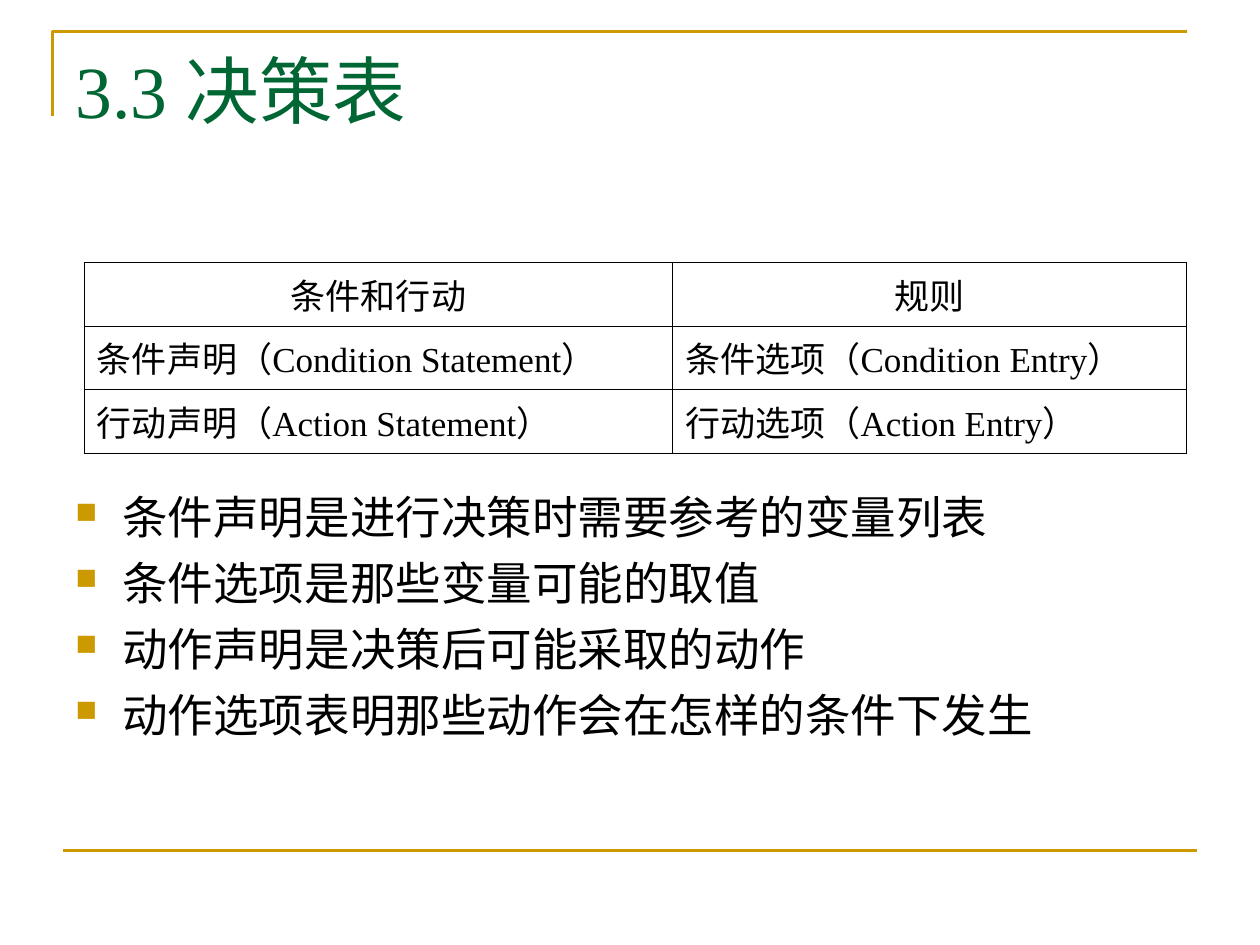
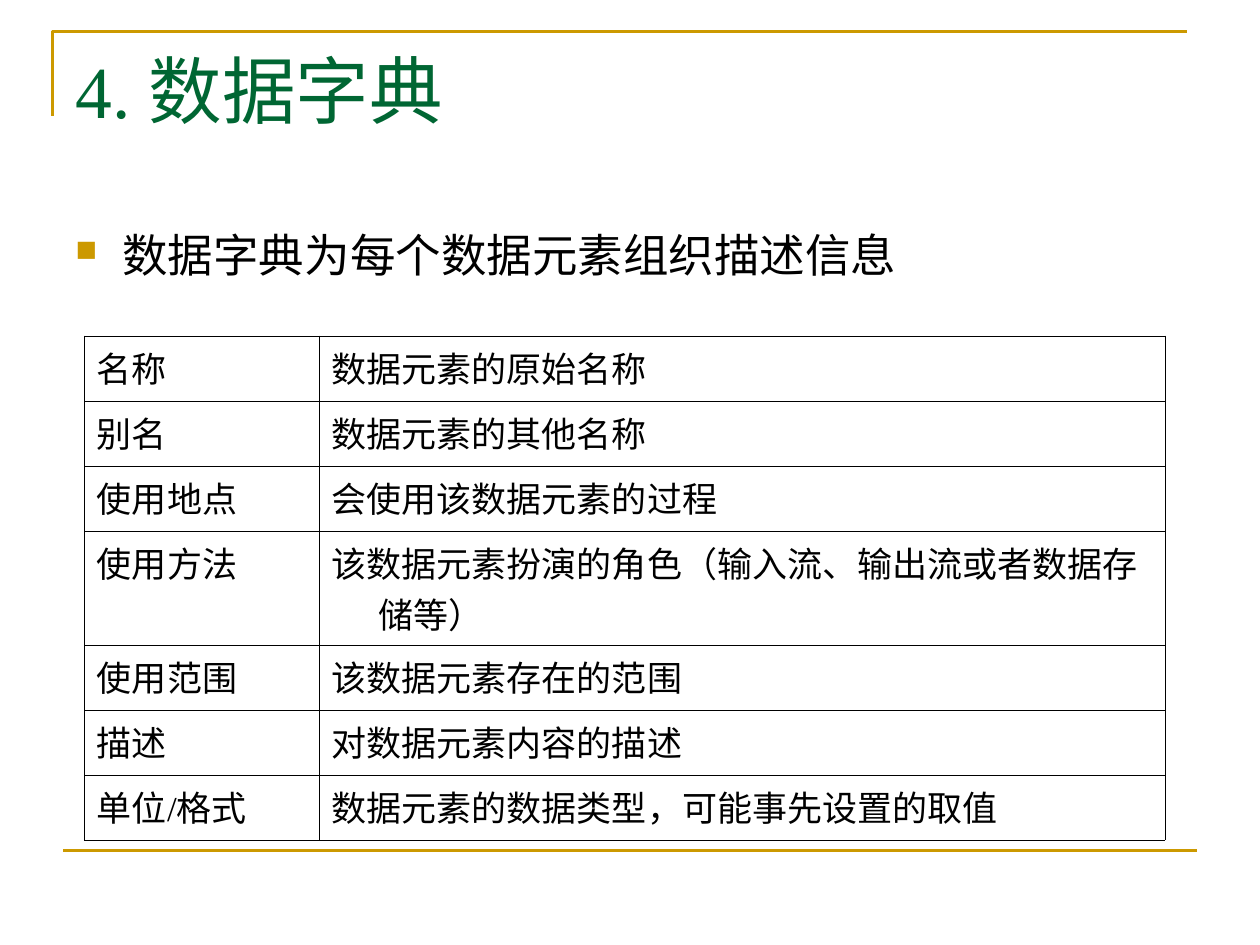
import dataclasses
import typing

import lxml.etree
import pptx
import pptx.dml.color
import pptx.enum.shapes
import pptx.enum.text
import pptx.oxml
import pptx.oxml.ns
import pptx.util

Cm = pptx.util.Cm
Pt = pptx.util.Pt
qn = pptx.oxml.ns.qn
Align = pptx.enum.text.PP_ALIGN
Anchor = pptx.enum.text.MSO_ANCHOR

GOLD, GREEN, BLACK = "CC9900", "006633", "000000"
SERIF, SANS = "Times New Roman", "Arial"
HANG = Cm(0.95)


@dataclasses.dataclass
class Box:
    left: float
    top: float
    width: float
    height: float

    def sides(self) -> list[int]:
        return [Cm(side) for side in dataclasses.astuple(self)]


@dataclasses.dataclass
class Grid:
    left: float
    top: float
    cols: list[float]
    rows: list[float]
    cells: list[tuple[str, str]]
    border: float
    header: bool = False


@dataclasses.dataclass
class Page:
    title: str
    body: Box
    points: list[str]
    grid: Grid


TITLE = Box(1.27, 0.76, 22.86, 3.18)
PAGES = [
    Page(
        "3.3 决策表",
        Box(1.27, 9.73, 22.86, 7.29),
        [
            "条件声明是进行决策时需要参考的变量列表",
            "条件选项是那些变量可能的取值",
            "动作声明是决策后可能采取的动作",
            "动作选项表明那些动作会在怎样的条件下发生",
        ],
        Grid(
            1.7, 5.29, [11.86, 10.36], [1.28] * 3,
            [
                ("条件和行动", "规则"),
                ("条件声明（Condition Statement）", "条件选项（Condition Entry）"),
                ("行动声明（Action Statement）", "行动选项（Action Entry）"),
            ],
            0.45,
            header=True,
        ),
    ),
    Page(
        "4. 数据字典",
        Box(1.27, 4.45, 22.43, 12.57),
        ["数据字典为每个数据元素组织描述信息"],
        Grid(
            1.7, 6.77, [4.73, 17.06], [1.31] * 3 + [2.3] + [1.31] * 3,
            [
                ("名称", "数据元素的原始名称"),
                ("别名", "数据元素的其他名称"),
                ("使用地点", "会使用该数据元素的过程"),
                ("使用方法", "该数据元素扮演的角色（输入流、输出流或者数据存储等）"),
                ("使用范围", "该数据元素存在的范围"),
                ("描述", "对数据元素内容的描述"),
                ("单位/格式", "数据元素的数据类型，可能事先设置的取值"),
            ],
            0.06,
        ),
    ),
]


def color(code: str) -> pptx.dml.color.RGBColor:
    return pptx.dml.color.RGBColor.from_string(code)


def style(para: typing.Any, size: float, face: str, code: str) -> None:
    para.font.size = Pt(size)
    para.font.name = face
    para.font.color.rgb = color(code)


def indent(para: typing.Any) -> typing.Any:
    """Give the paragraph a hanging indent and return its properties."""
    props = para._p.get_or_add_pPr()
    props.set("marL", str(HANG))
    props.set("indent", str(-HANG))
    return props


def bullet(para: typing.Any) -> None:
    props = indent(para)
    tint = lxml.etree.SubElement(props, qn("a:buClr"))
    lxml.etree.SubElement(tint, qn("a:srgbClr"), val=GOLD)
    lxml.etree.SubElement(props, qn("a:buSzPct"), val="65000")
    lxml.etree.SubElement(props, qn("a:buChar"), char="■")


def border(cell: typing.Any, width: float) -> None:
    props = cell._tc.get_or_add_tcPr()
    for spot, side in enumerate(("lnL", "lnR", "lnT", "lnB")):
        line = lxml.etree.Element(qn(f"a:{side}"), w=str(Pt(width)))
        fill = lxml.etree.SubElement(line, qn("a:solidFill"))
        lxml.etree.SubElement(fill, qn("a:srgbClr"), val=BLACK)
        props.insert(spot, line)


def draw_frame(slide: typing.Any) -> None:
    """Draw the gold corner above the title and the rule at the foot."""
    pen = slide.shapes.build_freeform(Cm(1.06), Cm(2.33))
    pen.add_line_segments(
        [(Cm(1.06), Cm(0.64)), (Cm(23.92), Cm(0.64))], close=False
    )
    corner = pen.convert_to_shape()
    corner.shadow.inherit = False
    corner.fill.background()
    rule = slide.shapes.add_connector(
        pptx.enum.shapes.MSO_CONNECTOR.STRAIGHT,
        Cm(1.27), Cm(17.15), Cm(24.13), Cm(17.15),
    )
    lxml.etree.SubElement(rule._element.spPr, qn("a:effectLst"))
    for shape in (corner, rule):
        shape.line.color.rgb = color(GOLD)
        shape.line.width = Pt(1.5)


def add_box(slide: typing.Any, box: Box) -> typing.Any:
    frame = slide.shapes.add_textbox(*box.sides()).text_frame
    frame.word_wrap = True
    return frame


def draw_title(slide: typing.Any, text: str) -> None:
    para = add_box(slide, TITLE).paragraphs[0]
    para.text = text
    para.line_spacing = Pt(51)
    style(para, 42, SERIF, GREEN)


def draw_points(slide: typing.Any, box: Box, points: list[str]) -> None:
    frame = add_box(slide, box)
    for spot, text in enumerate(points):
        para = frame.add_paragraph() if spot else frame.paragraphs[0]
        para.text = text
        bullet(para)
        para.line_spacing = Pt(31.2)
        if spot:
            para.space_before = Pt(6.5)
        style(para, 26, SANS, BLACK)


def draw_grid(slide: typing.Any, grid: Grid) -> None:
    box = Box(grid.left, grid.top, sum(grid.cols), sum(grid.rows))
    table = slide.shapes.add_table(
        len(grid.rows), len(grid.cols), *box.sides()
    ).table
    table.first_row = table.horz_banding = False
    for col, width in zip(table.columns, grid.cols):
        col.width = Cm(width)
    for spot, (row, height) in enumerate(zip(table.rows, grid.rows)):
        row.height = Cm(height)
        for cell, text in zip(row.cells, grid.cells[spot]):
            cell.text = text
            cell.fill.background()
            border(cell, grid.border)
            para = cell.text_frame.paragraphs[0]
            indent(para)
            style(para, 20, SERIF, BLACK)
            if grid.header and spot == 0:
                para.alignment = Align.CENTER
            elif grid.header:
                cell.vertical_anchor = Anchor.MIDDLE


def main() -> None:
    deck = pptx.Presentation()
    deck.slide_width, deck.slide_height = Cm(25.4), Cm(19.05)
    for page in PAGES:
        slide = deck.slides.add_slide(deck.slide_layouts[6])
        draw_frame(slide)
        draw_title(slide, page.title)
        draw_points(slide, page.body, page.points)
        draw_grid(slide, page.grid)
    deck.save("out.pptx")


if __name__ == "__main__":
    main()
